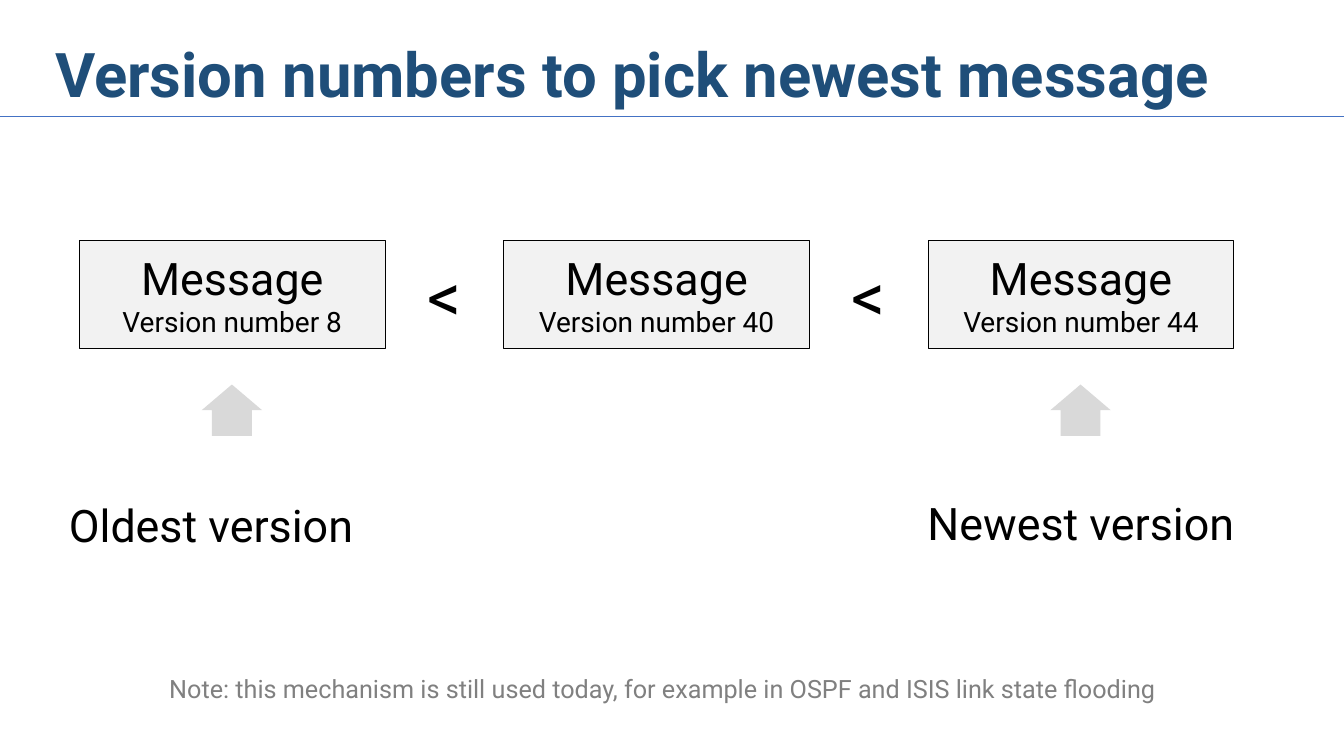
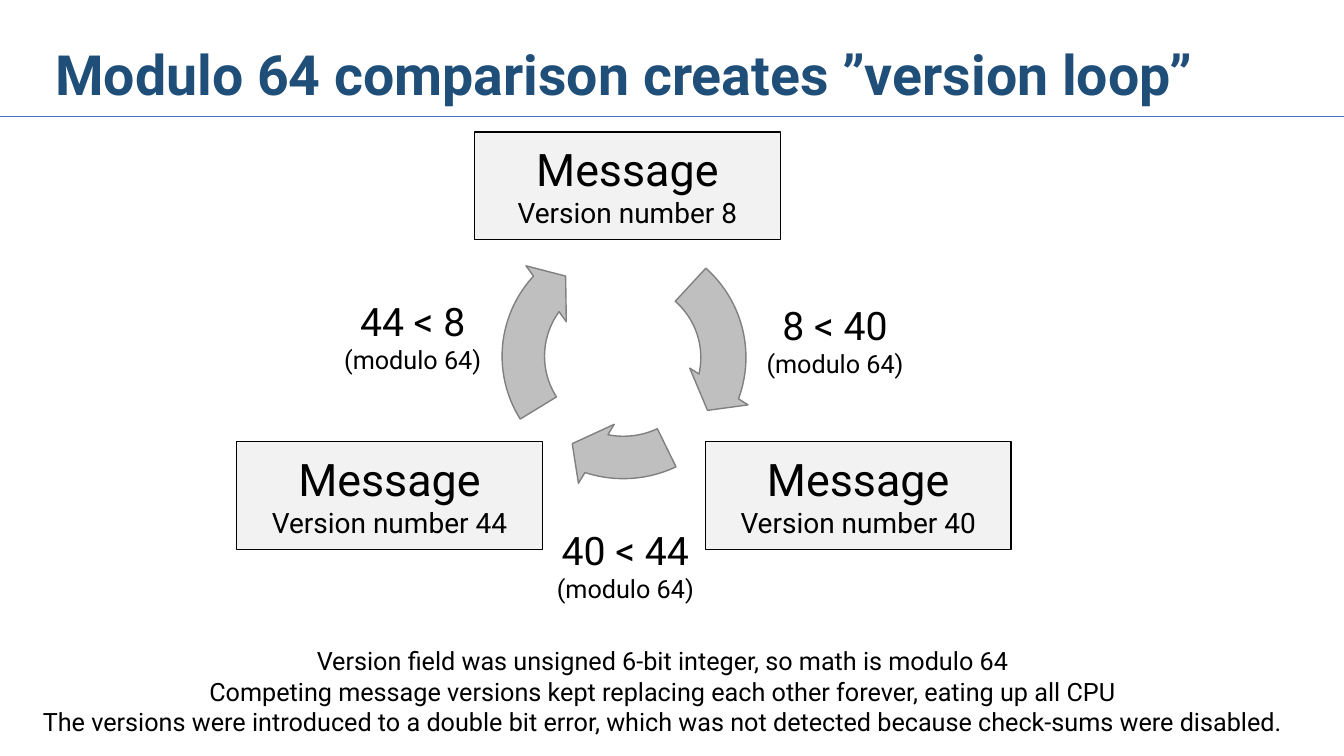
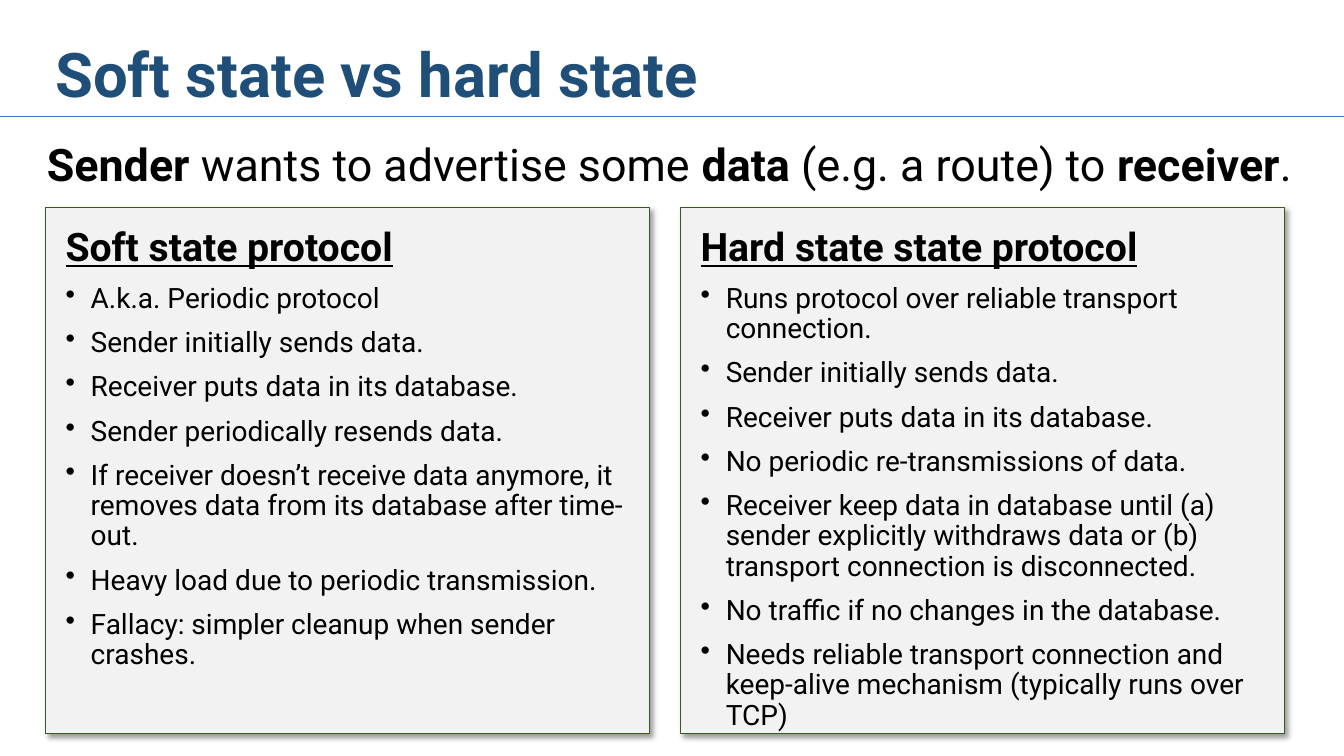
from lxml.etree import SubElement
from pptx import Presentation
from pptx.dml.color import RGBColor
from pptx.enum.shapes import MSO_CONNECTOR, MSO_SHAPE
from pptx.enum.text import MSO_ANCHOR, PP_ALIGN
from pptx.oxml import parse_xml
from pptx.oxml.ns import nsdecls, qn
from pptx.util import Pt

FONT = "Roboto"
BLACK = "000000"
NAVY = "1F4E79"
RULE = "4472C4"
PALE = "F2F2F2"
LIGHT = "D9D9D9"
SILVER = "BFBFBF"
GRAY = "808080"
GREEN = "385723"
BOX_W, BOX_H = 218.2, 77
rgb = RGBColor.from_string


def add_run(paragraph, text, size, color=BLACK, bold=False):
    run = paragraph.add_run()
    run.text = text
    run.font.name = FONT
    run.font.size = Pt(size)
    run.font.bold = bold
    run.font.color.rgb = rgb(color)
    return run


def add_box(slide, left, top, width, height, lines, color=BLACK, bold=False,
            border=None, align=PP_ALIGN.CENTER, anchor=MSO_ANCHOR.MIDDLE, margin=0):
    frame = Pt(left), Pt(top), Pt(width), Pt(height)
    if border:
        box = slide.shapes.add_shape(MSO_SHAPE.RECTANGLE, *frame)
        box.shadow.inherit = False
        box.fill.solid()
        box.fill.fore_color.rgb = rgb(PALE)
        box.line.color.rgb = rgb(border)
        box.line.width = Pt(0.75)
    else:
        box = slide.shapes.add_textbox(*frame)
    text = box.text_frame
    text.word_wrap = True
    text.vertical_anchor = anchor
    text.margin_left = text.margin_right = text.margin_top = Pt(margin)
    text.margin_bottom = 0
    for index, (line, size) in enumerate(lines):
        paragraph = text.add_paragraph() if index else text.paragraphs[0]
        paragraph.alignment = align
        add_run(paragraph, line, size, color, bold)
    return box


deck = Presentation()
deck.slide_width, deck.slide_height = Pt(960), Pt(540)

slides = []
for title, size in [
    ("Version numbers to pick newest message", 44),
    ("Modulo 64 comparison creates ”version loop”", 39.6),
    ("Soft state vs hard state", 44),
]:
    slide = deck.slides.add_slide(deck.slide_layouts[6])
    rule = slide.shapes.add_connector(MSO_CONNECTOR.STRAIGHT, 0, Pt(83), Pt(960), Pt(83))
    rule.line.color.rgb = rgb(RULE)
    rule.line.width = Pt(0.5)
    SubElement(rule._element.spPr, qn("a:effectLst"))
    heading = add_box(slide, 32.4, 26, 892, 58.4, [(title, size)], NAVY, True,
                      align=PP_ALIGN.LEFT, margin=7.2)
    heading.text_frame.margin_top = 0
    heading.text_frame.paragraphs[0].line_spacing = 0.9
    slides.append(slide)
order_slide, loop_slide, state_slide = slides

first_left, step, sign_w = 56.9, 303.1, 66.2
for index, version in enumerate([8, 40, 44]):
    left = first_left + index * step
    add_box(order_slide, left, 172, BOX_W, BOX_H,
            [("Message", 32), (f"Version number {version}", 20)], border=BLACK)
    if index < 2:
        sign_left = left + (BOX_W + step - sign_w) / 2
        add_box(order_slide, sign_left, 172, sign_w, BOX_H, [("<", 48)])

for index, label, label_left, label_top in [
    (0, "Oldest version", 17.3, 336.2),
    (2, "Newest version", 638.6, 334.8),
]:
    center = first_left + index * step + BOX_W / 2
    pointer = order_slide.shapes.add_shape(
        MSO_SHAPE.RIGHT_ARROW, Pt(center - 18.7), Pt(271.4), Pt(36.7), Pt(43.2))
    pointer.rotation = 270
    pointer.adjustments[0] = 0.66
    pointer.adjustments[1] = 0.5
    pointer.shadow.inherit = False
    pointer.fill.solid()
    pointer.fill.fore_color.rgb = rgb(LIGHT)
    pointer.line.fill.background()
    add_box(order_slide, label_left, label_top, 267.1, BOX_H, [(label, 32)])

add_box(order_slide, 17.3, 468.7, 912.2, 45.4, [(
    "Note: this mechanism is still used today, for example in OSPF and ISIS link state flooding",
    18)], GRAY)

add_box(loop_slide, 17.3, 470.9, 912.2, 45.4, [
    ("Version field was unsigned 6-bit integer, so math is modulo 64", 18),
    ("Competing message versions kept replacing each other forever, eating up all CPU", 18),
    ("The versions were introduced to a double bit error, which was not detected because "
     "check-sums were disabled.", 18),
])
for version, left, top in [(8, 339.1, 94.3), (40, 504, 315.4), (44, 169.2, 315.4)]:
    add_box(loop_slide, left, top, BOX_W, BOX_H,
            [("Message", 32), (f"Version number {version}", 20)], border=BLACK)
for comparison, left, top in [
    ("8 < 40", 504, 204.5), ("40 < 44", 354.2, 365), ("44 < 8", 202.3, 201.6),
]:
    add_box(loop_slide, left, top, 185, BOX_H, [(comparison, 28), ("(modulo 64)", 18)])
for top, thickness, end, start in [
    (159.8, 0.16, 131.39, 89.2), (160.6, 0.17, 10.16, 187.66), (162, 0.16, 63.58, 38.34),
]:
    turn = loop_slide.shapes.add_shape(
        MSO_SHAPE.CIRCULAR_ARROW, Pt(349.2), Pt(top), Pt(192.2), Pt(189.4))
    for index, value in enumerate([thickness, 9.16, end, start, 0.13]):
        turn.adjustments[index] = value
    turn.shadow.inherit = False
    turn.fill.solid()
    turn.fill.fore_color.rgb = rgb(SILVER)
    turn.line.color.rgb = rgb(GRAY)
    turn.line.width = Pt(1)

for left, protocol, points in [
    (32.4, "Soft state protocol", [
        "A.k.a. Periodic protocol",
        "Sender initially sends data.",
        "Receiver puts data in its database.",
        "Sender periodically resends data.",
        "If receiver doesn’t receive data anymore, it removes data from its database after time-out.",
        "Heavy load due to periodic transmission.",
        "Fallacy: simpler cleanup when sender crashes.",
    ]),
    (486, "Hard state state protocol", [
        "Runs protocol over reliable transport connection.",
        "Sender initially sends data.",
        "Receiver puts data in its database.",
        "No periodic re-transmissions of data.",
        "Receiver keep data in database until (a) sender explicitly withdraws data or "
        "(b) transport connection is disconnected.",
        "No traffic if no changes in the database.",
        "Needs reliable transport connection and keep-alive mechanism (typically runs over TCP)",
    ]),
]:
    panel = add_box(state_slide, left, 148.3, 431.3, 375.8,
                    [(protocol, 28)] + [(point, 20) for point in points],
                    border=GREEN, align=PP_ALIGN.LEFT, anchor=MSO_ANCHOR.TOP, margin=14.4)
    panel._element.spPr.find(qn("a:effectLst")).append(parse_xml(
        f'<a:outerShdw {nsdecls("a")} blurRad="{Pt(4)}" dist="{Pt(3)}" dir="2700000" '
        f'algn="tl" rotWithShape="0"><a:srgbClr val="{BLACK}"><a:alpha val="40000"/>'
        '</a:srgbClr></a:outerShdw>'))
    protocol_line, *point_lines = panel.text_frame.paragraphs
    protocol_line.line_spacing = 0.9
    protocol_line.runs[0].font.bold = True
    protocol_line.runs[0].font.underline = True
    for point_line in point_lines:
        properties = point_line._p.get_or_add_pPr()
        properties.set("marL", str(Pt(18)))
        properties.set("indent", str(Pt(-18)))
        SubElement(properties, qn("a:buChar"), char="•")
        point_line.line_spacing = 0.9
        point_line.space_before = Pt(10)

summary = add_box(state_slide, 10.1, 98.6, 936, 65.5, [], anchor=MSO_ANCHOR.TOP, margin=7.2)
summary.text_frame.margin_top = Pt(3.6)
sentence = summary.text_frame.paragraphs[0]
sentence.alignment = PP_ALIGN.CENTER
sentence.line_spacing = 0.9
for text, bold in [
    ("Sender", True), (" wants to advertise some ", False), ("data", True),
    (" (e.g. a route) to ", False), ("receiver", True), (".", False),
]:
    add_run(sentence, text, 32, bold=bold)

deck.save("out.pptx")
